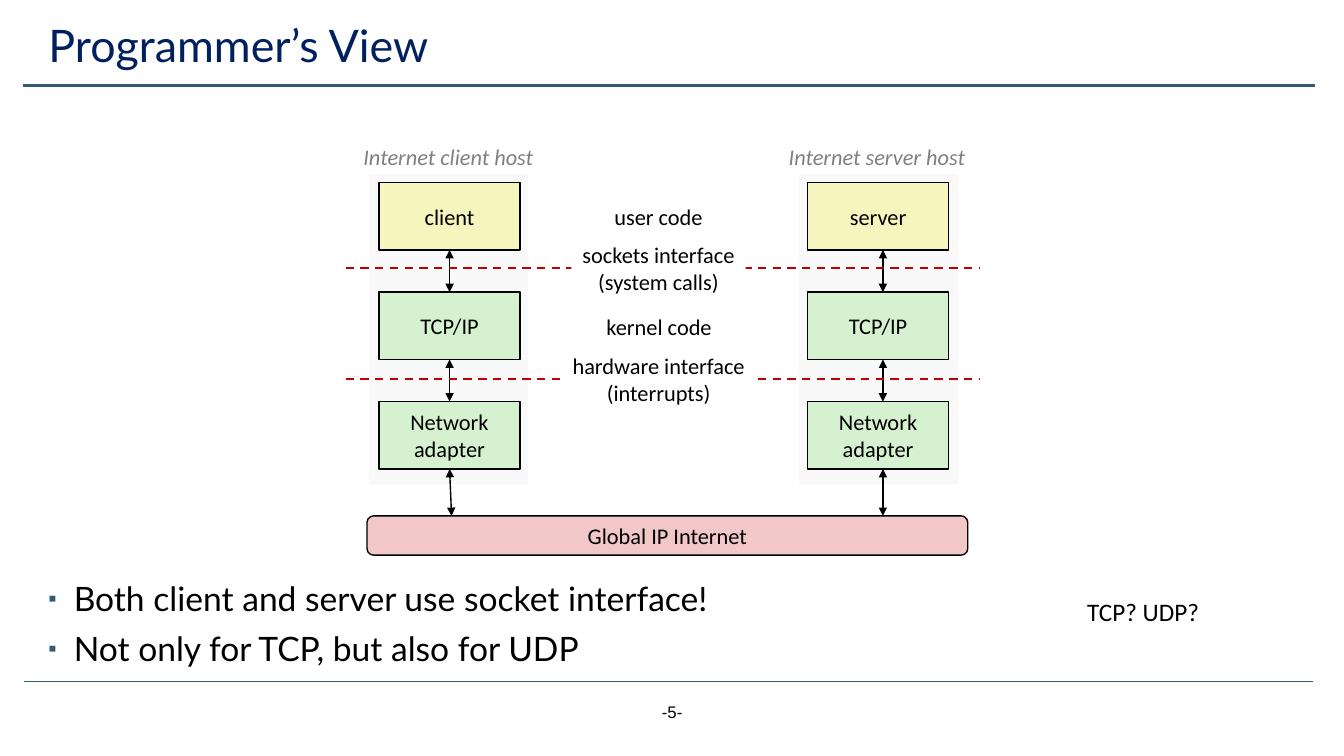
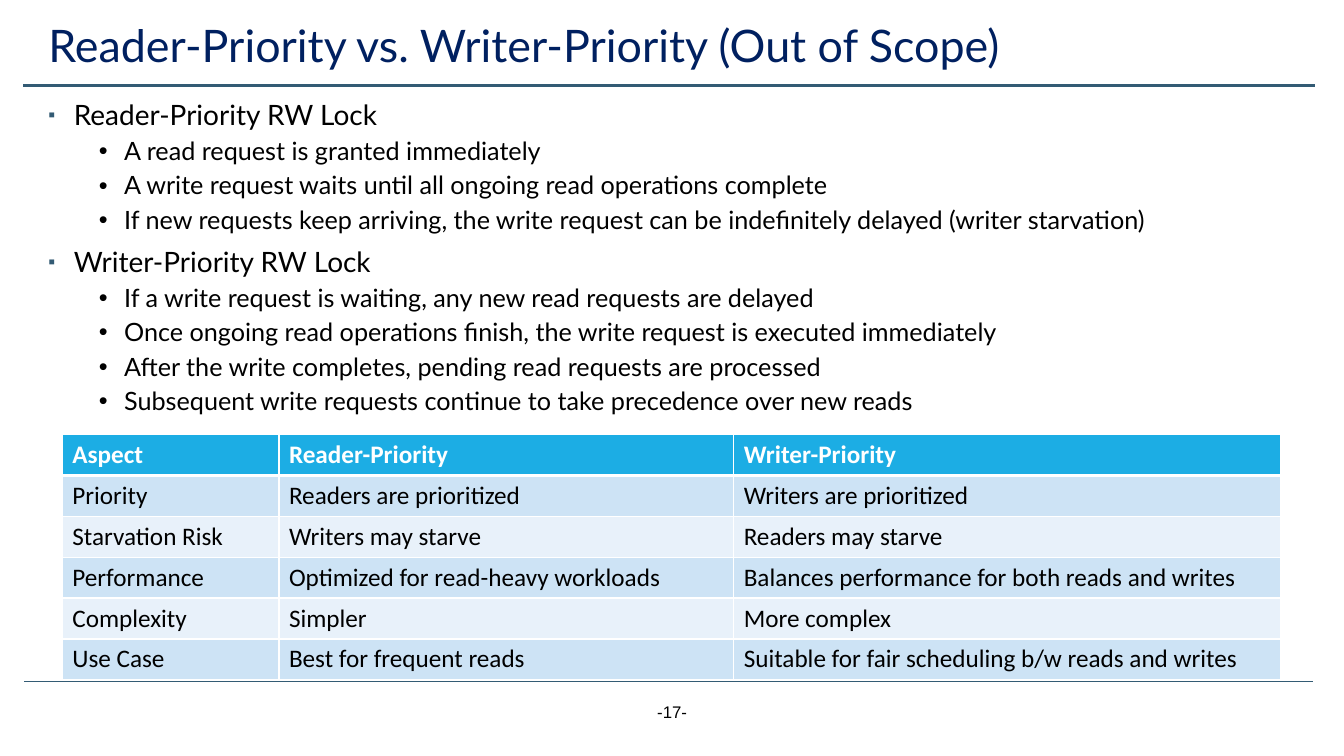
from dataclasses import dataclass
from itertools import pairwise
from typing import NamedTuple

from pptx import Presentation
from pptx.dml.color import RGBColor
from pptx.enum.dml import MSO_LINE_DASH_STYLE as DASH
from pptx.enum.shapes import MSO_CONNECTOR, MSO_SHAPE as SHAPE
from pptx.enum.text import MSO_ANCHOR as ANCHOR, PP_ALIGN as ALIGN
from pptx.oxml.ns import qn
from pptx.util import Cm, Pt
from lxml.etree import SubElement

COLORS = {
    "black": "000000", "white": "FFFFFF", "title": "002060", "rule": "335B74",
    "panel": "F9F9FA", "user": "F6F5BD", "kernel": "D5F1CF", "internet": "F1C7C7",
    "caption": "808080", "boundary": "C00000",
    "header": "1CADE4", "band_dark": "CDE3F5", "band_light": "E8F1FA",
}
BOX_TOP, BOX_W, BOX_H, BOX_PITCH = 4.6, 3.56, 1.7, 2.76
BAR_TOP = 13
BODY_FONT, LABEL_FONT = "Lato", "Calibri"


class Box(NamedTuple):
    x: float
    y: float
    w: float
    h: float

    def cm(self) -> tuple:
        return tuple(Cm(v) for v in self)


class Bullet(NamedTuple):
    char: str
    indent: float
    before: float
    color: str = ""
    percent: int = 100


@dataclass(frozen=True)
class Host:
    caption: str
    caption_x: float
    caption_w: float
    program: str
    panel_x: float
    box_x: float
    arrow_shift: float
    arrow_end_x: float


@dataclass(frozen=True)
class Label:
    text: str
    box: Box
    fill: str = ""


TOPIC = Bullet("▪", 0.64, 10, "rule", 70)
DETAIL = Bullet("•", 1.91, 5)

HOSTS = [
    Host("Internet client host", 8.71, 5.18, "client", 9.3, 9.55, 0, 11.38),
    Host("Internet server host", 19.38, 5.44, "server", 20.14, 20.35, 0.12, 22.25),
]
BOUNDARIES = [6.76, 9.55]
LABELS = [
    Label("user code", Box(15.21, 4.98, 2.77, 0.94)),
    Label("kernel code", Box(15.01, 7.75, 3.2, 0.94)),
    Label("sockets interface\n(system calls)", Box(14.4, 5.94, 4.39, 1.63), "white"),
    Label("hardware interface\n(interrupts)", Box(14.15, 8.74, 4.9, 1.63), "white"),
]
SOCKET_POINTS = [
    (TOPIC, "Both client and server use socket interface!"),
    (TOPIC, "Not only for TCP, but also for UDP"),
]
LOCK_POINTS = [
    (TOPIC, "Reader-Priority RW Lock"),
    (DETAIL, "A read request is granted immediately"),
    (DETAIL, "A write request waits until all ongoing read operations complete"),
    (DETAIL, "If new requests keep arriving, the write request can be "
             "indefinitely delayed (writer starvation)"),
    (TOPIC, "Writer-Priority RW Lock"),
    (DETAIL, "If a write request is waiting, any new read requests are delayed"),
    (DETAIL, "Once ongoing read operations finish, the write request is executed immediately"),
    (DETAIL, "After the write completes, pending read requests are processed"),
    (DETAIL, "Subsequent write requests continue to take precedence over new reads"),
]
LOCK_COLUMNS = [5.46, 11.46, 13.79]
LOCK_ROWS = [
    ("Aspect", "Reader-Priority", "Writer-Priority"),
    ("Priority", "Readers are prioritized", "Writers are prioritized"),
    ("Starvation Risk", "Writers may starve", "Readers may starve"),
    ("Performance", "Optimized for read-heavy workloads",
     "Balances performance for both reads and writes"),
    ("Complexity", "Simpler", "More complex"),
    ("Use Case", "Best for frequent reads",
     "Suitable for fair scheduling b/w reads and writes"),
]


def rgb(name: str) -> RGBColor:
    return RGBColor.from_string(COLORS[name])


def add_bullet(p, bullet: Bullet) -> None:
    p.space_before = Pt(bullet.before)
    pPr = p._p.get_or_add_pPr()
    pPr.set("marL", str(Cm(bullet.indent)))
    pPr.set("indent", str(-Cm(0.64)))
    if bullet.color:
        color = SubElement(pPr, qn("a:buClr"))
        SubElement(color, qn("a:srgbClr"), val=COLORS[bullet.color])
    SubElement(pPr, qn("a:buSzPct"), val=str(bullet.percent * 1000))
    SubElement(pPr, qn("a:buFont"), typeface="Arial")
    SubElement(pPr, qn("a:buChar"), char=bullet.char)


def write(tf, text: str, *, size: float = 16, font: str = LABEL_FONT, color: str = "black",
          bold: bool = False, italic: bool = False, align=ALIGN.LEFT,
          spacing: float = 1.0, bullet: Bullet | None = None) -> None:
    for line in text.split("\n"):
        p = tf.paragraphs[0] if not tf.text else tf.add_paragraph()
        p.alignment = align
        p.line_spacing = spacing
        if bullet:
            add_bullet(p, bullet)
        r = p.add_run()
        r.text = line
        r.font.name, r.font.size = font, Pt(size)
        r.font.bold, r.font.italic = bold, italic
        r.font.color.rgb = rgb(color)


def add_text_box(s, box: Box, *, wrap: bool = True, anchor=ANCHOR.TOP, fill: str = ""):
    sp = s.shapes.add_textbox(*box.cm())
    if fill:
        sp.fill.solid()
        sp.fill.fore_color.rgb = rgb(fill)
    tf = sp.text_frame
    tf.word_wrap = wrap
    tf.vertical_anchor = anchor
    return tf


def add_box(s, box: Box, fill: str, text: str = "", *, kind=SHAPE.RECTANGLE,
            outlined: bool = True):
    sp = s.shapes.add_shape(kind, *box.cm())
    sp.shadow.inherit = False
    sp.fill.solid()
    sp.fill.fore_color.rgb = rgb(fill)
    if outlined:
        sp.line.color.rgb = rgb("black")
        sp.line.width = Pt(1)
    else:
        sp.line.fill.background()
    if text:
        tf = sp.text_frame
        tf.word_wrap = False
        tf.vertical_anchor = ANCHOR.MIDDLE
        write(tf, text, align=ALIGN.CENTER)
    return sp


def add_line(s, x1: float, y1: float, x2: float, y2: float, *, color: str = "black",
             width: float = 1, dashed: bool = False, arrows: bool = False):
    line = s.shapes.add_connector(MSO_CONNECTOR.STRAIGHT, Cm(x1), Cm(y1), Cm(x2), Cm(y2))
    line.line.color.rgb = rgb(color)
    line.line.width = Pt(width)
    if dashed:
        line.line.dash_style = DASH.DASH
    if arrows:
        for end in ("a:headEnd", "a:tailEnd"):
            SubElement(line.line._get_or_add_ln(), qn(end), type="triangle")
    SubElement(line._element.spPr, qn("a:effectLst"))
    return line


def add_slide(prs, title: str, number: int):
    s = prs.slides.add_slide(prs.slide_layouts[6])
    add_line(s, 0.61, 17.17, 33.1, 17.17, color="rule", width=0.5)
    add_line(s, 0.58, 2.16, 33.15, 2.16, color="rule", width=1.75)
    write(add_text_box(s, Box(13.13, 17.55, 7.62, 1.02)), f"-{number}-",
          size=12, font="Arial", align=ALIGN.CENTER)
    write(add_text_box(s, Box(0.97, 0.48, 31.57, 1.6)), title,
          size=32, font=BODY_FONT, color="title", spacing=0.9)
    return s


def add_points(s, box: Box, points: list, sizes: dict) -> None:
    tf = add_text_box(s, box)
    for bullet, text in points:
        write(tf, text, size=sizes[bullet], font=BODY_FONT, spacing=0.9, bullet=bullet)


def add_label(s, label: Label, **style) -> None:
    tf = add_text_box(s, label.box, wrap=False, anchor=ANCHOR.MIDDLE, fill=label.fill)
    write(tf, label.text, align=ALIGN.CENTER, **style)


def add_host(s, host: Host) -> None:
    add_box(s, Box(host.panel_x, 4.39, 4.01, 7.82), "panel", outlined=False)
    layers = [("user", host.program), ("kernel", "TCP/IP"), ("kernel", "Network\nadapter")]
    tops = [BOX_TOP + i * BOX_PITCH for i in range(len(layers))]
    boxes = [add_box(s, Box(host.box_x, top, BOX_W, BOX_H), fill, text)
             for top, (fill, text) in zip(tops, layers)]
    x = host.box_x + BOX_W / 2 + host.arrow_shift
    centred = host.arrow_shift == 0
    for i, (top, below) in enumerate(pairwise(tops + [BAR_TOP])):
        last = i == len(boxes) - 1
        end_x = host.arrow_end_x if last else x
        arrow = add_line(s, x, top + BOX_H, end_x, below, arrows=True)
        if centred:
            arrow.begin_connect(boxes[i], 2)
            if not last:
                arrow.end_connect(boxes[i + 1], 0)
    add_label(s, Label(host.caption, Box(host.caption_x, 3.48, host.caption_w, 0.94)),
              color="caption", italic=True)


def set_borders(cell, widths: dict) -> None:
    tcPr = cell._tc.get_or_add_tcPr()
    for side in "LRTB":
        ln = SubElement(tcPr, qn(f"a:ln{side}"), w=str(Pt(widths.get(side, 1))))
        SubElement(SubElement(ln, qn("a:solidFill")), qn("a:srgbClr"), val=COLORS["white"])


def add_lock_table(s) -> None:
    box = Box(1.57, 10.95, sum(LOCK_COLUMNS), 1.03 * len(LOCK_ROWS))
    table = s.shapes.add_table(len(LOCK_ROWS), len(LOCK_COLUMNS), *box.cm()).table
    for column, width in zip(table.columns, LOCK_COLUMNS):
        column.width = Cm(width)
    for i, row in enumerate(LOCK_ROWS):
        header = i == 0
        fill = "header" if header else "band_dark" if i % 2 else "band_light"
        for j, text in enumerate(row):
            cell = table.cell(i, j)
            set_borders(cell, {0: {"B": 3}, 1: {"T": 3}}.get(i, {}))
            cell.fill.solid()
            cell.fill.fore_color.rgb = rgb(fill)
            write(cell.text_frame, text, size=18, bold=header,
                  color="white" if header else "black")


def build_programmer_view(prs) -> None:
    s = add_slide(prs, "Programmer’s View", 5)
    add_points(s, Box(0.97, 14.55, 31.57, 2.34), SOCKET_POINTS, {TOPIC: 24})
    for host in HOSTS:
        add_host(s, host)
    add_box(s, Box(9.25, BAR_TOP, 15.14, 0.99), "internet", "Global IP Internet",
            kind=SHAPE.ROUNDED_RECTANGLE)
    for y in BOUNDARIES:
        add_line(s, 8.71, y, 24.7, y, color="boundary", width=1.5, dashed=True)
    for label in LABELS:
        add_label(s, label)
    write(add_text_box(s, Box(27.15, 14.91, 3.35, 1.02), wrap=False), "TCP? UDP?", size=18)


def build_lock_priorities(prs) -> None:
    s = add_slide(prs, "Reader-Priority vs. Writer-Priority (Out of Scope)", 17)
    add_points(s, Box(0.97, 2.44, 31.57, 14.45), LOCK_POINTS, {TOPIC: 20, DETAIL: 18})
    add_lock_table(s)


def main() -> None:
    prs = Presentation()
    prs.slide_width, prs.slide_height = Cm(33.87), Cm(19.05)
    build_programmer_view(prs)
    build_lock_priorities(prs)
    prs.save("out.pptx")


if __name__ == "__main__":
    main()
